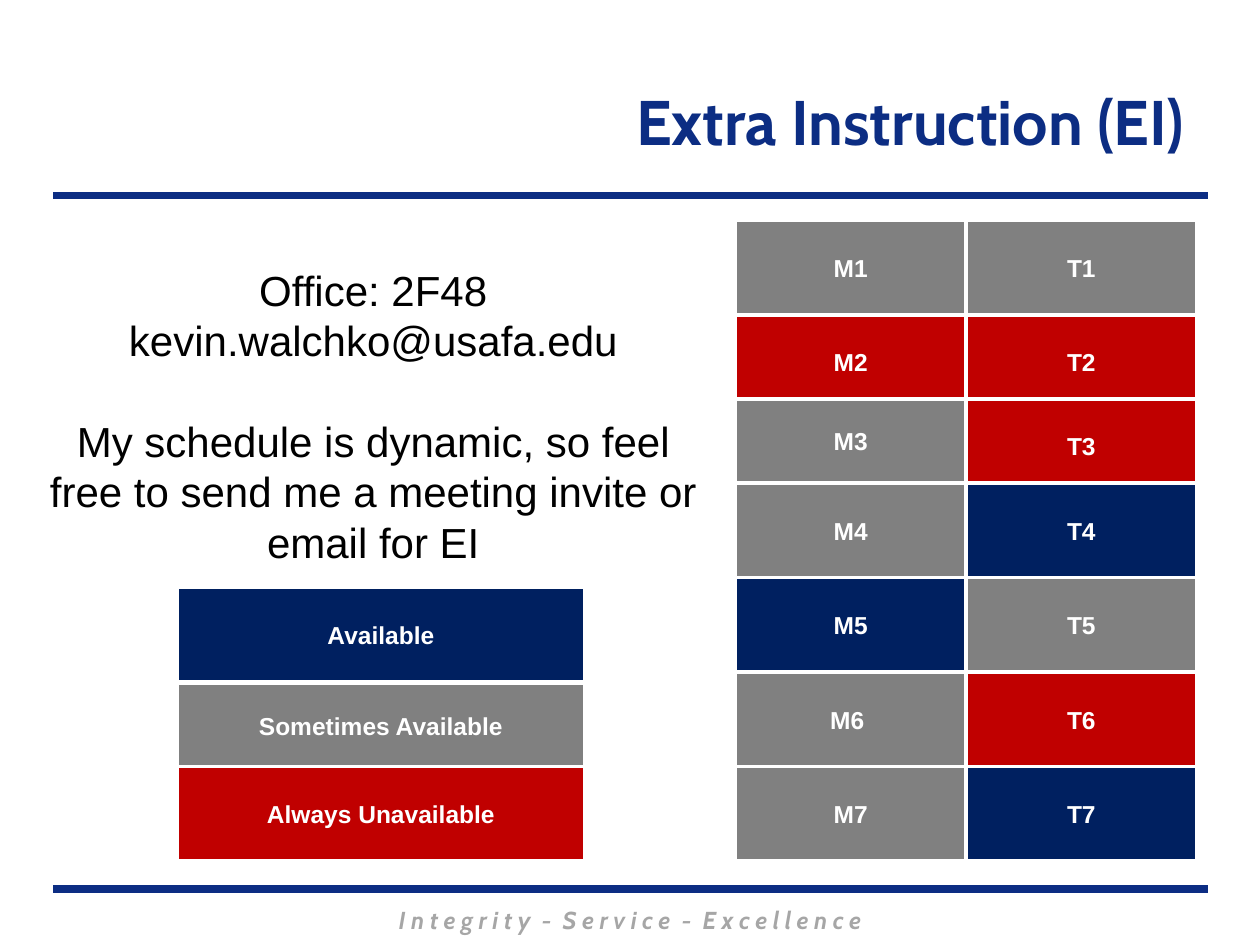
from lxml import etree
from pptx import Presentation
from pptx.dml.color import RGBColor
from pptx.enum.shapes import MSO_CONNECTOR, MSO_SHAPE
from pptx.enum.text import MSO_ANCHOR, MSO_AUTO_SIZE, PP_ALIGN
from pptx.oxml.ns import qn
from pptx.util import Cm, Pt

STRAIGHT = MSO_CONNECTOR.STRAIGHT
RECTANGLE = MSO_SHAPE.RECTANGLE
MIDDLE = MSO_ANCHOR.MIDDLE
NO_AUTOFIT = MSO_AUTO_SIZE.NONE
CENTER = PP_ALIGN.CENTER
RIGHT = PP_ALIGN.RIGHT

BLUE = RGBColor(0x0C, 0x2D, 0x83)
NAVY = RGBColor(0x00, 0x20, 0x60)
GRAY = RGBColor(0x80, 0x80, 0x80)
RED = RGBColor(0xC0, 0x00, 0x00)
LIGHT_GRAY = RGBColor(0xA6, 0xA6, 0xA6)
WHITE = RGBColor(0xFF, 0xFF, 0xFF)
BLACK = RGBColor(0x00, 0x00, 0x00)

COLUMN_LEFTS = (14.82, 19.47)
COLUMN_WIDTH = 4.66
ROW_HEIGHT = 1.9
SHORT_HEIGHT = 1.7
SCHEDULE = (
    (4.45, ("M1", GRAY), ("T1", GRAY)),
    (6.35, ("M2", RED), ("T2", RED)),
    (8.04, ("M3", GRAY), ("T3", RED)),
    (9.74, ("M4", GRAY), ("T4", NAVY)),
    (11.64, ("M5", NAVY), ("T5", GRAY)),
    (13.55, ("M6 ", GRAY), ("T6", RED)),
    (15.45, ("M7", GRAY), ("T7", NAVY)),
)
LEGEND = (
    ("Available", NAVY, 11.84, ROW_HEIGHT),
    ("Sometimes Available", GRAY, 13.77, SHORT_HEIGHT),
    ("Always Unavailable", RED, 15.45, ROW_HEIGHT),
)
CONTACT = (
    "Office: 2F48",
    "kevin.walchko@usafa.edu",
    "My schedule is dynamic, so feel free to send me a meeting invite or email for EI",
)
MOTTO = "I n t e g r i t y  -  S e r v i c e  -  E x c e l l e n c e"


def format_paragraph(para, font_name, size, color, align=CENTER, bold=False, italic=False):
    para.alignment = align
    for span in para.runs:
        font = span.font
        font.name = font_name
        font.size = Pt(size)
        font.bold = bold
        font.italic = italic
        font.color.rgb = color


def set_title(page, text):
    title = page.shapes.title
    title.left, title.top, title.width, title.height = Cm(1.27), Cm(0.84), Cm(22.86), Cm(3.18)
    frame = title.text_frame
    frame.text = text
    frame.auto_size = NO_AUTOFIT
    frame.vertical_anchor = MIDDLE
    format_paragraph(frame.paragraphs[0], "Cabin", 36, BLUE, RIGHT, bold=True)


def add_rule(page, top):
    rule = page.shapes.add_connector(STRAIGHT, Cm(1.07), Cm(top), Cm(24.36), Cm(top))
    rule.line.color.rgb = BLUE
    rule.line.width = Pt(4.5)
    etree.SubElement(rule._element.spPr, qn("a:effectLst"))


def add_text_frame(page, left, top, width, height):
    box = page.shapes.add_textbox(Cm(left), Cm(top), Cm(width), Cm(height))
    box.text_frame.word_wrap = True
    return box.text_frame


def add_motto(page):
    frame = add_text_frame(page, 3.6, 18.11, 18.21, 0.86)
    frame.text = MOTTO
    format_paragraph(frame.paragraphs[0], "Cabin", 14, LIGHT_GRAY, bold=True, italic=True)


def add_contact(page):
    frame = add_text_frame(page, 0.64, 5.2, 13.77, 6.4)
    frame.text = "\n".join(CONTACT)
    for para in frame.paragraphs:
        format_paragraph(para, "Arial", 24, BLACK)
        para.line_spacing = Pt(28.8)
    frame.paragraphs[-1].space_before = Pt(28.8)


def add_block(page, text, color, left, top, width, height):
    block = page.shapes.add_shape(RECTANGLE, Cm(left), Cm(top), Cm(width), Cm(height))
    block.shadow.inherit = False
    block.fill.solid()
    block.fill.fore_color.rgb = color
    block.line.color.rgb = WHITE
    block.line.width = Pt(2)
    frame = block.text_frame
    frame.text = text
    frame.vertical_anchor = MIDDLE
    format_paragraph(frame.paragraphs[0], "Arial", 14, WHITE, bold=True)


def add_schedule(page):
    for top, *periods in SCHEDULE:
        for left, (text, color) in zip(COLUMN_LEFTS, periods):
            height = SHORT_HEIGHT if text == "M3" else ROW_HEIGHT
            add_block(page, text, color, left, top, COLUMN_WIDTH, height)


def add_legend(page):
    for text, color, top, height in LEGEND:
        add_block(page, text, color, 3.58, top, 8.2, height)


def main():
    deck = Presentation()
    deck.slide_width = Cm(25.4)
    deck.slide_height = Cm(19.05)
    page = deck.slides.add_slide(deck.slide_layouts[5])
    set_title(page, "Extra Instruction (EI)")
    for top in (3.94, 17.93):
        add_rule(page, top)
    add_motto(page)
    add_schedule(page)
    add_contact(page)
    add_legend(page)
    deck.save("out.pptx")


if __name__ == "__main__":
    main()
